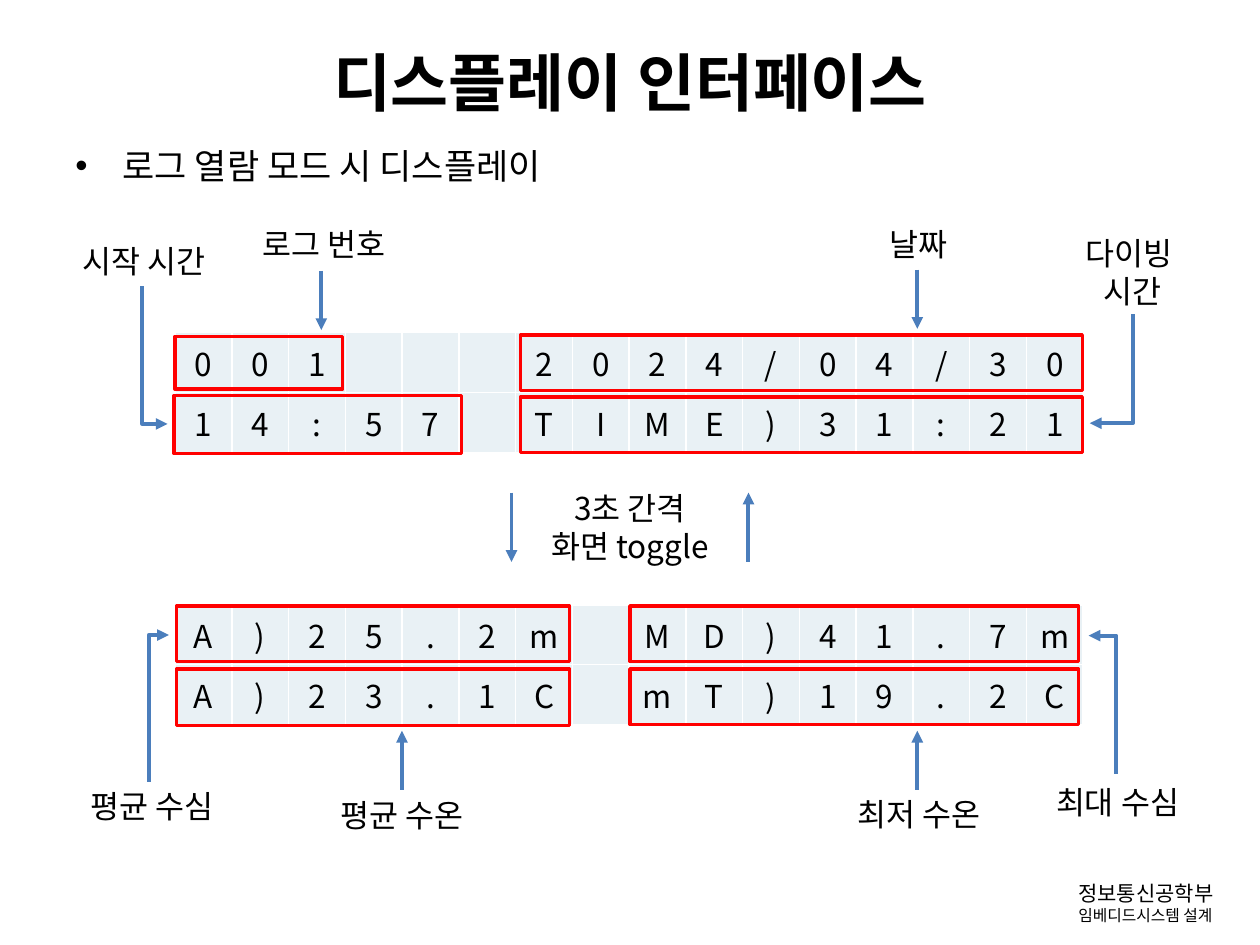
from lxml import etree
from pptx import Presentation
from pptx.dml.color import RGBColor
from pptx.enum import shapes, text
from pptx.oxml.ns import qn
from pptx.util import Pt

FONT = "Noto Sans CJK KR"
COLORS = {"text": "000000", "arrow": "4B7EBC", "cell": "E9F1F5", "frame": "FF0000"}
CENTER, LEFT = text.PP_ALIGN.CENTER, text.PP_ALIGN.LEFT

TITLE = "디스플레이 인터페이스"
TOPIC = "로그 열람 모드 시 디스플레이"
FOOTER = ["정보통신공학부", "임베디드시스템 설계"]

# One character per display cell: (top, rows)
SCREENS = [
    (190.1, ["001   2024/04/30", "14:57 TIME)31:21"]),
    (345.6, ["A)25.2m MD)41.7m", "A)23.1C mT)19.2C"]),
]
SCREEN_LEFT, SCREEN_WIDTH, ROW_HEIGHT = 100.1, 519.1, 34.2

# (left, top, width, height)
FRAMES = [
    (297.4, 226.8, 321.1, 31.7), (99.4, 226.1, 164.2, 33.1),
    (297.4, 191.5, 321.1, 31.7), (100.1, 192.2, 95.8, 30.2),
    (100.8, 346.3, 224.6, 31.7), (100.8, 382.3, 224.6, 32.4),
    (360, 346.3, 256.3, 31.7), (360, 382.3, 256.3, 31.7),
]

# (lines, left, top, width, height)
LABELS = [
    (["날짜"], 470.9, 125.3, 108, 28.8),
    (["로그 번호"], 131, 125.3, 108, 28.8),
    (["시작 시간"], 28.1, 134.6, 108, 28.8),
    (["최대 수심"], 584.6, 444.2, 108, 28.8),
    (["최저 수온"], 470.9, 450.7, 108, 28.8),
    (["평균 수온"], 175.7, 451.4, 108, 28.8),
    (["평균 수심"], 33.1, 446.4, 108, 28.8),
    (["다이빙 ", "시간"], 607, 130.3, 80.6, 51.1),
    (["3초 간격", "화면 toggle"], 300.2, 275.8, 119.5, 51.1),
]

# (x, tail y, tip y)
STRAIGHT_ARROWS = [
    (229.7, 451.4, 417.6), (524.2, 451.4, 417.6),
    (524.2, 154.1, 187.9), (183.6, 154.8, 188.6),
    (292.3, 281.5, 321.1), (427.7, 321.1, 281.5),
]
# (tip x, tip y, label x, label y)
BENT_ARROWS = [
    (96.5, 362.9, 85, 447.1), (622.1, 363.2, 637.9, 442.1),
    (95.8, 242.3, 81.4, 163.4), (622.8, 241.9, 647.3, 179.3),
]


def color(name):
    return RGBColor.from_string(COLORS[name])


def style(paragraph, size, align=CENTER, bold=False):
    paragraph.alignment = align
    for run in paragraph.runs:
        font = run.font
        font.size, font.bold, font.name = Pt(size), bold, FONT
        font.color.rgb = color("text")
        etree.SubElement(run._r.get_or_add_rPr(), qn("a:ea"), typeface=FONT)


def add_text(slide, lines, box, sizes, align=CENTER, bold=False,
             anchor=text.MSO_ANCHOR.TOP):
    frame = slide.shapes.add_textbox(*map(Pt, box)).text_frame
    frame.word_wrap = True
    frame.vertical_anchor = anchor
    frame.text = "\n".join(lines)
    for paragraph, size in zip(frame.paragraphs, sizes):
        style(paragraph, size, align, bold)
    return frame


def add_bullet(paragraph, indent):
    properties = paragraph._p.get_or_add_pPr()
    properties.set("marL", str(Pt(indent)))
    properties.set("indent", str(-Pt(indent)))
    etree.SubElement(properties, qn("a:buFont"), typeface="Arial")
    etree.SubElement(properties, qn("a:buChar"), char="•")


def add_arrow(slide, kind, start, end, arrow_end):
    """arrow_end is headEnd (at start) or tailEnd (at end)."""
    arrow = slide.shapes.add_connector(kind, *map(Pt, start + end))
    arrow.line.color.rgb = color("arrow")
    arrow.line.width = Pt(2.25)
    etree.SubElement(arrow.line._get_or_add_ln(), qn(f"a:{arrow_end}"), type="triangle")
    etree.SubElement(arrow._element.spPr, qn("a:effectLst"))
    return arrow


def add_bent_arrow(slide, tip, label):
    """Run sideways from the tip, then straight to the label."""
    arrow = add_arrow(slide, shapes.MSO_CONNECTOR.ELBOW, tip, label, "headEnd")
    guides = arrow._element.spPr.find(qn("a:prstGeom")).get_or_add_avLst()
    etree.SubElement(guides, qn("a:gd"), name="adj1", fmla="val 100000")


def add_screen(slide, top, rows):
    columns = len(rows[0])
    table = slide.shapes.add_table(
        len(rows), columns, Pt(SCREEN_LEFT), Pt(top),
        Pt(SCREEN_WIDTH), Pt(ROW_HEIGHT * len(rows))).table
    table.first_row = table.horz_banding = False
    for column in table.columns:
        column.width = Pt(SCREEN_WIDTH / columns)
    for r, characters in enumerate(rows):
        for c, character in enumerate(characters):
            cell = table.cell(r, c)
            cell.fill.solid()
            cell.fill.fore_color.rgb = color("cell")
            cell.vertical_anchor = text.MSO_ANCHOR.MIDDLE
            cell.text_frame.text = character.strip()
            style(cell.text_frame.paragraphs[0], 18)


def add_frame(slide, box):
    frame = slide.shapes.add_shape(shapes.MSO_SHAPE.RECTANGLE, *map(Pt, box))
    frame.shadow.inherit = False
    frame.fill.background()
    frame.line.color.rgb = color("frame")
    frame.line.width = Pt(2)


def main():
    deck = Presentation()
    deck.slide_width, deck.slide_height = Pt(720), Pt(540)
    slide = deck.slides.add_slide(deck.slide_layouts[6])

    add_text(slide, FOOTER, (609.1, 499.7, 110.9, 32.4), (12, 9), LEFT)
    add_text(slide, [TITLE], (36, 21.6, 648, 49.7), [36], bold=True,
             anchor=text.MSO_ANCHOR.MIDDLE)
    topic = add_text(slide, [TOPIC], (36, 79.2, 648, 404.6), [20], LEFT).paragraphs[0]
    topic.space_before = Pt(4)
    add_bullet(topic, 27)

    for top, rows in SCREENS:
        add_screen(slide, top, rows)
    for box in FRAMES:
        add_frame(slide, box)
    for x, tail, tip in STRAIGHT_ARROWS:
        add_arrow(slide, shapes.MSO_CONNECTOR.STRAIGHT, (x, tail), (x, tip), "tailEnd")
    for tip_x, tip_y, label_x, label_y in BENT_ARROWS:
        add_bent_arrow(slide, (tip_x, tip_y), (label_x, label_y))
    for lines, *box in LABELS:
        add_text(slide, lines, box, [18] * len(lines))

    deck.save("out.pptx")


if __name__ == "__main__":
    main()
